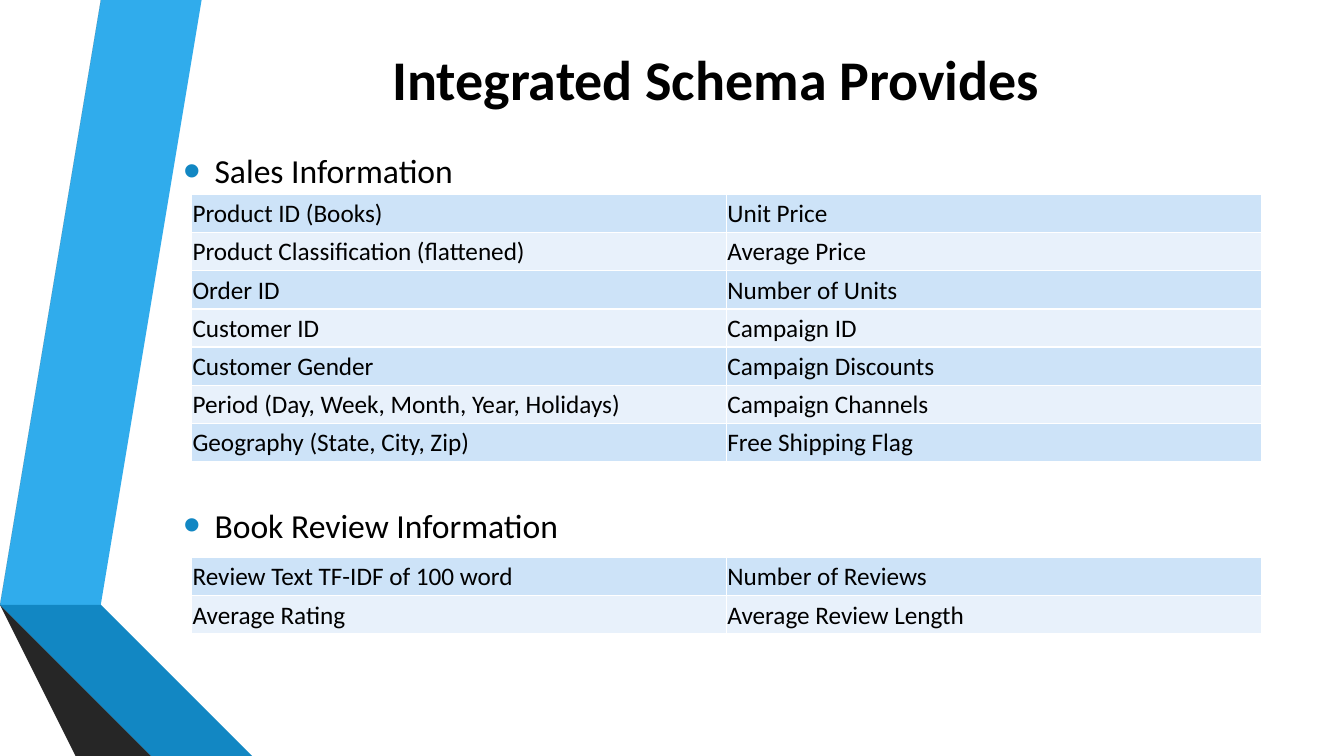
from lxml import etree
from pptx import Presentation
from pptx.dml.color import RGBColor
from pptx.enum.text import MSO_ANCHOR as Anchor, PP_ALIGN as Align
from pptx.oxml.ns import qn
from pptx.util import Inches, Pt

BANDS = [
    ("30ACEC", [(0.5, 5.78), (0.77, 5.83), (1.73, 0), (1.45, 0)]),
    ("595959", [(1.39, 0), (1.11, 0), (0.16, 5.73), (0.44, 5.77)]),
    ("262626", [(0.16, 5.73), (1.45, 7.5), (1.51, 7.5)]),
    ("0C5A82", [(0.5, 5.79), (2.08, 7.5), (2.14, 7.5)]),
    ("1287C3", [(0.5, 5.78), (2.14, 7.5), (2.83, 7.5), (0.77, 5.83)]),
    ("404040", [(2.02, 7.5), (0.48, 5.83), (0.44, 5.77), (0.16, 5.73), (1.51, 7.5)]),
]
SALES = [
    ("Product ID (Books)", "Unit Price"),
    ("Product Classification (flattened)", "Average Price"),
    ("Order ID", "Number of Units"),
    ("Customer ID", "Campaign ID"),
    ("Customer Gender", "Campaign Discounts"),
    ("Period (Day, Week, Month, Year, Holidays)", "Campaign Channels"),
    ("Geography (State, City, Zip)", "Free Shipping Flag"),
]
REVIEWS = [
    ("Review Text TF-IDF of 100 word", "Number of Reviews"),
    ("Average Rating", "Average Review Length"),
]


def color(code):
    """Return the colour for a hex string."""
    return RGBColor.from_string(code)


def style(para, size, bold=False):
    """Set the font of a paragraph."""
    font = para.font
    font.name, font.size, font.bold = "Calibri", Pt(size), bold
    font.color.rgb = color("000000")


def add_bands(slide):
    """Draw the folded ribbons on the left edge."""
    for fill, points in BANDS:
        pen = slide.shapes.build_freeform(*points[0], scale=Inches(1))
        pen.add_line_segments(points[1:], close=True)
        band = pen.convert_to_shape()
        band.shadow.inherit = False
        band.fill.solid()
        band.fill.fore_color.rgb = color(fill)
        band.line.fill.background()


def add_title(slide, text, box):
    """Place and format the title."""
    title = slide.shapes.title
    title.left, title.top, title.width, title.height = map(Inches, box)
    frame = title.text_frame
    frame.text = text
    frame.vertical_anchor = Anchor.MIDDLE
    para = frame.paragraphs[0]
    para.alignment = Align.CENTER
    style(para, 40, True)


def add_bullet(slide, text, box):
    """Add a heading with a blue bullet."""
    frame = slide.shapes.add_textbox(*map(Inches, box)).text_frame
    frame.word_wrap = True
    frame.vertical_anchor = Anchor.MIDDLE
    para = frame.paragraphs[0]
    para.text = text
    style(para, 24)
    props = para._p.get_or_add_pPr()
    props.set("marL", str(Inches(0.31)))
    props.set("indent", str(-Inches(0.31)))
    tint = etree.SubElement(props, qn("a:buClr"))
    etree.SubElement(tint, qn("a:srgbClr"), val="1287C3")
    etree.SubElement(props, qn("a:buSzPct"), val="145000")
    etree.SubElement(props, qn("a:buFont"), typeface="Arial")
    etree.SubElement(props, qn("a:buChar"), char="•")


def add_grid(slide, rows, box):
    """Add a two-column table with banded rows."""
    table = slide.shapes.add_table(len(rows), 2, *map(Inches, box)).table
    table.first_row = False
    for i, row in enumerate(rows):
        for j, text in enumerate(row):
            cell = table.cell(i, j)
            cell.text = text
            cell.vertical_anchor = Anchor.MIDDLE
            cell.margin_left = cell.margin_right = cell.margin_top = Inches(0.01)
            cell.margin_bottom = 0
            cell.fill.solid()
            cell.fill.fore_color.rgb = color("E8F1FB" if i % 2 else "CDE3F8")
            style(cell.text_frame.paragraphs[0], 18)


def add_section(slide, head, rows, box, gap):
    """Place a heading and, after a gap, its table."""
    left, top, width, height = box
    add_bullet(slide, head, (left, top, width, 0.5))
    grid = top + 0.5 + gap
    add_grid(slide, rows, (left + 0.18, grid, width - 0.35, top + height - grid))


def main():
    """Build and save the slide."""
    deck = Presentation()
    deck.slide_width, deck.slide_height = Inches(13.33), Inches(7.5)
    slide = deck.slides.add_slide(deck.slide_layouts[5])
    add_bands(slide)
    add_title(slide, "Integrated Schema Provides", (1.62, 0.01, 10.96, 1.52))
    add_section(slide, "Sales Information", SALES, (1.72, 1.44, 10.96, 3.14), -0.01)
    add_section(slide, "Book Review Information", REVIEWS, (1.72, 4.96, 10.96, 1.33), 0.07)
    deck.save("out.pptx")


if __name__ == "__main__":
    main()
